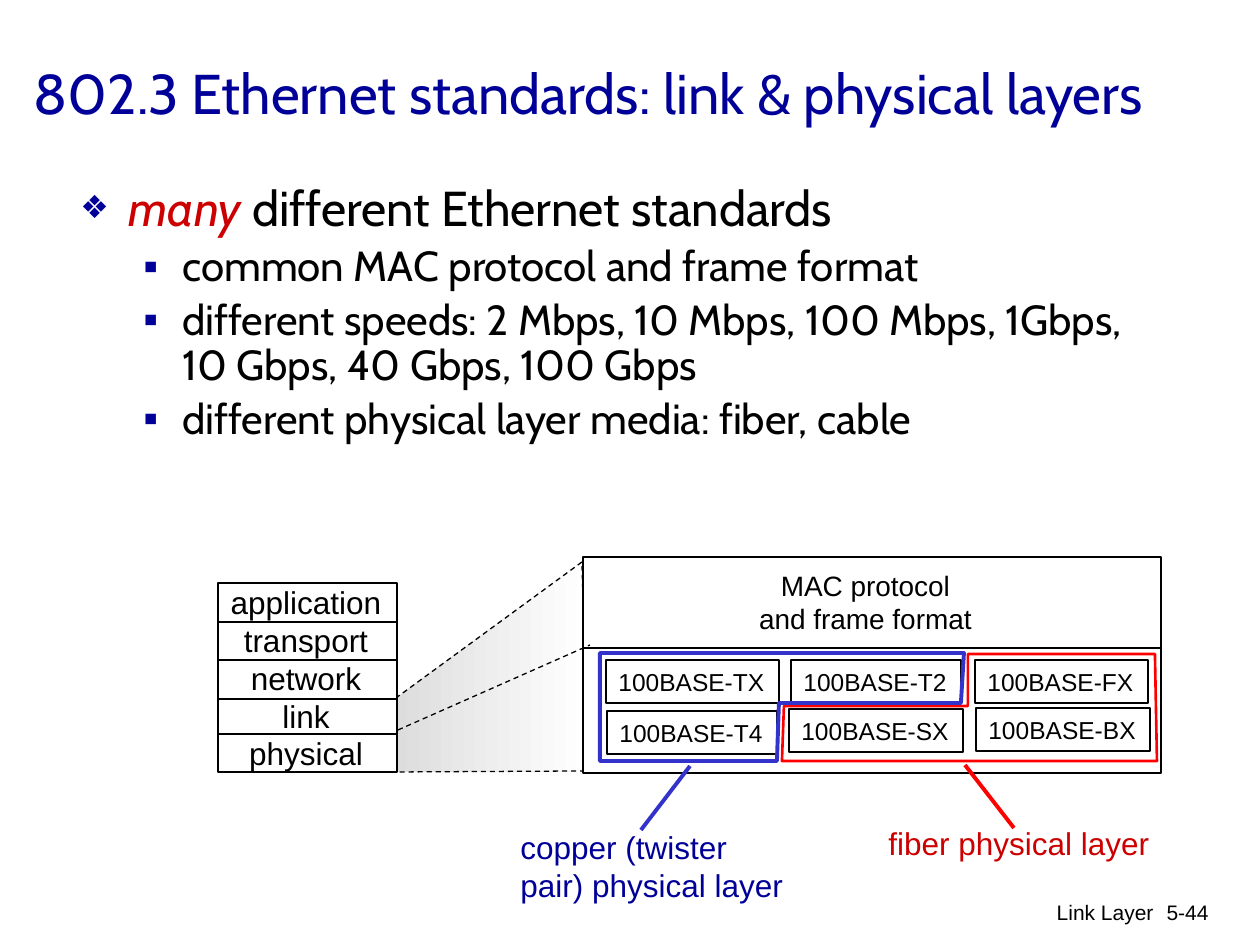
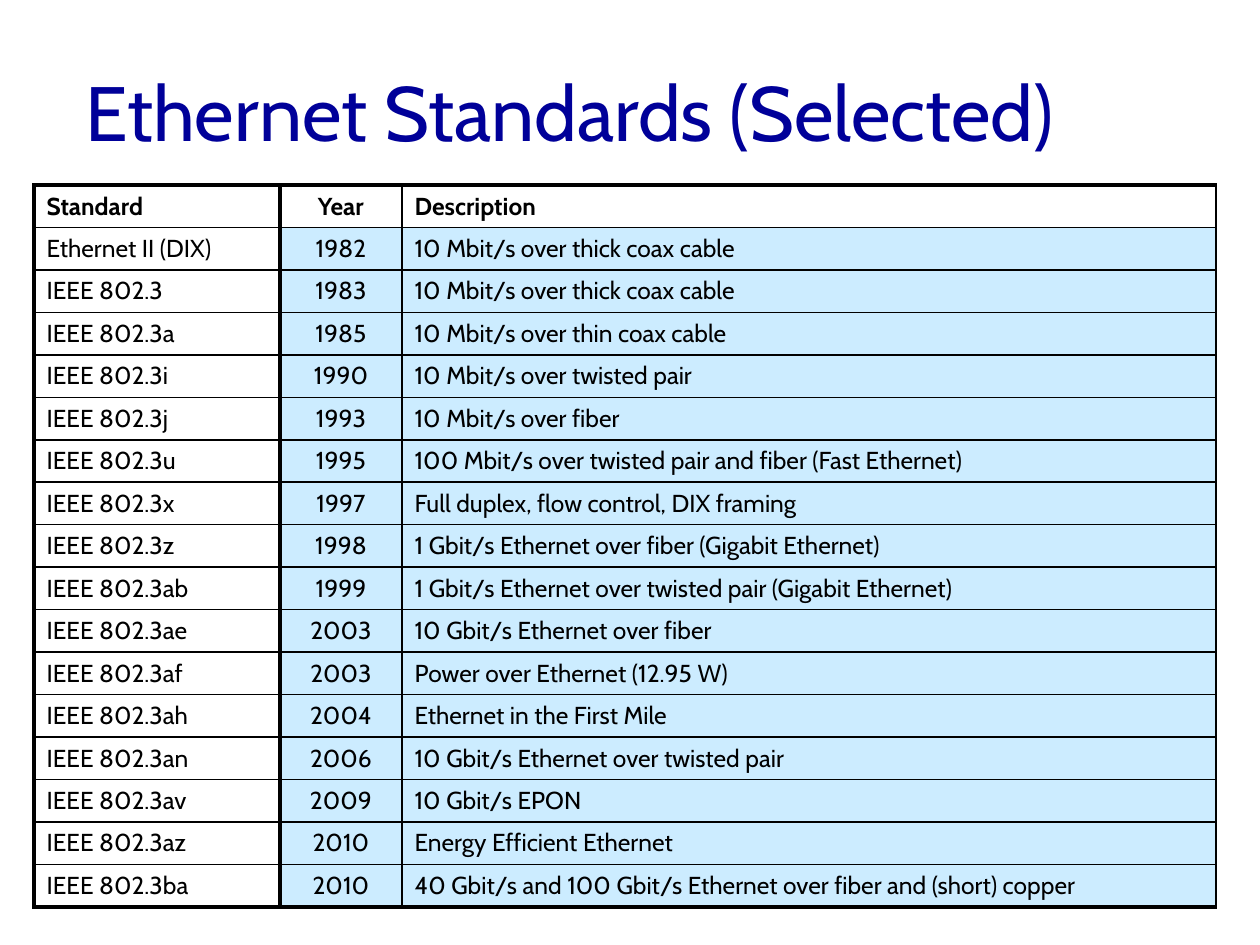
"""Build two slides on Ethernet standards: a layer diagram and a table."""
from typing import NamedTuple, Optional

from lxml import etree
from pptx import Presentation
from pptx import util as u
from pptx.dml.color import RGBColor
from pptx.enum import dml, shapes, text
from pptx.oxml import ns

PX = 914400 / 126
BLACK = RGBColor(0, 0, 0)
WHITE = RGBColor(255, 255, 255)
GREY = RGBColor(0xDD, 0xDD, 0xDD)
NAVY = RGBColor(0, 0, 0x99)
BLUE = RGBColor(0x33, 0x33, 0xCC)
CRIMSON = RGBColor(0xCC, 0, 0)
RED = RGBColor(255, 0, 0)
SKY = RGBColor(0xCC, 0xEC, 0xFF)
SANS, HEAD = "Arial", "Cabin"
LEFT, MID, RIGHT = text.PP_ALIGN.LEFT, text.PP_ALIGN.CENTER, text.PP_ALIGN.RIGHT
THIN, THICK = 1, 2.25


class Box(NamedTuple):
    x: int
    y: int
    w: int
    h: int


class Run(NamedTuple):
    text: str
    size: int
    color: RGBColor = BLACK
    font: str = SANS
    bold: bool = False
    slant: bool = False


class Pen(NamedTuple):
    color: RGBColor = BLACK
    width: float = 0.75
    dash: bool = False


class Line(NamedTuple):
    x1: int
    y1: int
    x2: int
    y2: int
    pen: Pen = Pen()


class Label(NamedTuple):
    box: Box
    lines: list[str]
    size: int
    color: RGBColor = BLACK
    align: text.PP_ALIGN = LEFT


class Item(NamedTuple):
    runs: list[Run]
    mark: str
    left: int
    hang: int
    ratio: Optional[int] = None


class Chip(NamedTuple):
    name: str
    box: Box


PLAIN, DASH = Pen(), Pen(dash=True)
FOOT = [Label(Box(767, 893, 399, 63), ["Link Layer"], 12, align=RIGHT),
        Label(Box(1128, 893, 93, 63), ["5-44"], 12, align=RIGHT)]

POINTS = [
    Item([Run("many ", 28, CRIMSON, HEAD, slant=True),
          Run("different Ethernet standards", 28, font=HEAD)], "❖", 48, 48, 65),
    *(Item([Run(line, 24, font=HEAD)], "▪", 102, 39) for line in (
        "common MAC protocol and frame format",
        "different speeds: 2 Mbps, 10 Mbps, 100 Mbps, 1Gbps, 10 Gbps, 40 Gbps, 100 Gbps",
        "different physical layer media: fiber, cable")),
]

STACK = Label(Box(218, 577, 176, 202),
              ["application", "transport", "network", "link", "physical"], 18, align=MID)
RULES = [*(Line(218, y, 396, y) for y in (622, 660, 699, 734)),
         Line(218, 745, 218, 769, DASH), Line(397, 742, 397, 766, DASH)]
MAC = Label(Box(746, 562, 239, 81), ["MAC protocol", "and frame format"], 16, align=MID)
CHIPS = [
    Chip("100BASE-TX", Box(606, 660, 173, 43)),
    Chip("100BASE-T4", Box(607, 711, 170, 43)),
    Chip("100BASE-FX", Box(975, 660, 173, 43)),
    Chip("100BASE-T2", Box(791, 660, 170, 43)),
    Chip("100BASE-SX", Box(789, 709, 174, 43)),
    Chip("100BASE-BX", Box(976, 708, 174, 43)),
]
FAN = [(582, 562), (396, 698), (397, 772), (588, 771)]
FIBER = [(968, 654), (968, 706), (784, 706), (782, 761), (1157, 761), (1155, 654)]
COPPER = [(964, 653), (961, 703), (779, 703), (777, 761), (600, 761), (600, 653)]
NOTES = [
    (FIBER, Pen(RED, 1.5), Line(965, 765, 1014, 828, Pen(RED, THICK)),
     Label(Box(876, 818, 289, 50), ["fiber physical layer"], 18, CRIMSON)),
    (COPPER, Pen(BLUE, THICK), Line(690, 766, 641, 830, Pen(BLUE, THICK)),
     Label(Box(508, 822, 291, 89), ["copper (twister", "pair) physical layer"], 18, NAVY)),
]

ROWS = [
    ("Standard", "Year", "Description"),
    ("Ethernet II (DIX)", "1982", "10 Mbit/s over thick coax cable"),
    ("IEEE 802.3", "1983", "10 Mbit/s over thick coax cable"),
    ("IEEE 802.3a", "1985", "10 Mbit/s over thin coax cable"),
    ("IEEE 802.3i", "1990", "10 Mbit/s over twisted pair"),
    ("IEEE 802.3j", "1993", "10 Mbit/s over fiber"),
    ("IEEE 802.3u", "1995", "100 Mbit/s over twisted pair and fiber (Fast Ethernet)"),
    ("IEEE 802.3x", "1997", "Full duplex, flow control, DIX framing"),
    ("IEEE 802.3z", "1998", "1 Gbit/s Ethernet over fiber (Gigabit Ethernet)"),
    ("IEEE 802.3ab", "1999", "1 Gbit/s Ethernet over twisted pair (Gigabit Ethernet)"),
    ("IEEE 802.3ae", "2003", "10 Gbit/s Ethernet over fiber"),
    ("IEEE 802.3af", "2003", "Power over Ethernet (12.95 W)"),
    ("IEEE 802.3ah", "2004", "Ethernet in the First Mile"),
    ("IEEE 802.3an", "2006", "10 Gbit/s Ethernet over twisted pair"),
    ("IEEE 802.3av", "2009", "10 Gbit/s EPON"),
    ("IEEE 802.3az", "2010", "Energy Efficient Ethernet"),
    ("IEEE 802.3ba", "2010", "40 Gbit/s and 100 Gbit/s Ethernet over fiber and (short) copper"),
]
COLS = (246, 122, 814)
ROW = 42


def emu(*sizes: int) -> list[int]:
    return [round(size * PX) for size in sizes]


def add(root, tag: str, **attrs):
    return etree.SubElement(root, ns.qn(tag), **attrs)


def put_run(para, run: Run) -> None:
    part = para.add_run()
    part.text = run.text
    font = part.font
    font.name, font.size, font.bold, font.italic = run.font, u.Pt(run.size), run.bold, run.slant
    font.color.rgb = run.color


def put_text(frame, lines: list[list[Run]], align=LEFT) -> None:
    for i, runs in enumerate(lines):
        para = frame.add_paragraph() if i else frame.paragraphs[0]
        para.alignment = align
        for run in runs:
            put_run(para, run)


def ink(line, pen: Pen) -> None:
    line.color.rgb = pen.color
    line.width = u.Pt(pen.width)
    if pen.dash:
        line.dash_style = dml.MSO_LINE.DASH


def put_title(slide, box: Box, run: Run) -> None:
    title = slide.shapes.title
    title.left, title.top, title.width, title.height = emu(*box)
    frame = title.text_frame
    frame.vertical_anchor = text.MSO_ANCHOR.MIDDLE
    frame.auto_size = text.MSO_AUTO_SIZE.NONE
    put_text(frame, [[run]])


def put_label(slide, label: Label) -> None:
    frame = slide.shapes.add_textbox(*emu(*label.box)).text_frame
    frame.word_wrap = False
    put_text(frame, [[Run(line, label.size, label.color)] for line in label.lines], label.align)


def put_rect(slide, box: Box, fill: Optional[RGBColor] = None):
    rect = slide.shapes.add_shape(shapes.MSO_SHAPE.RECTANGLE, *emu(*box))
    rect.shadow.inherit = False
    if fill is None:
        rect.fill.background()
    else:
        rect.fill.solid()
        rect.fill.fore_color.rgb = fill
    ink(rect.line, PLAIN)
    return rect


def put_chip(slide, chip: Chip) -> None:
    frame = put_rect(slide, chip.box).text_frame
    frame.word_wrap = False
    put_text(frame, [[Run(chip.name, 14)]])


def put_line(slide, line: Line) -> None:
    link = slide.shapes.add_connector(shapes.MSO_CONNECTOR.STRAIGHT, *emu(*line[:4]))
    ink(link.line, line.pen)
    add(link._element.spPr, "a:effectLst")


def put_form(slide, dots: list[tuple[int, int]], pen: Pen):
    maker = slide.shapes.build_freeform(*dots[0], scale=PX)
    maker.add_line_segments(dots[1:], close=True)
    form = maker.convert_to_shape()
    form.shadow.inherit = False
    form.fill.background()
    ink(form.line, pen)
    return form


def put_list(slide, box: Box, items: list[Item]) -> None:
    frame = slide.shapes.add_textbox(*emu(*box)).text_frame
    frame.word_wrap = True
    put_text(frame, [item.runs for item in items])
    for para, item in zip(frame.paragraphs, items):
        para.line_spacing = 0.9
        para.space_before = u.Pt(item.runs[0].size * 0.2)
        props = para._p.get_or_add_pPr()
        left, hang = emu(item.left, item.hang)
        props.set("marL", str(left))
        props.set("indent", str(-hang))
        add(add(props, "a:buClr"), "a:srgbClr", val=str(NAVY))
        if item.ratio:
            add(props, "a:buSzPct", val=str(item.ratio * 1000))
        add(props, "a:buFont", typeface=SANS)
        add(props, "a:buChar", char=item.mark)


def edge(cell, side: str, width: float) -> None:
    line = add(cell._tc.get_or_add_tcPr(), f"a:ln{side}", w=str(u.Pt(width)))
    add(add(line, "a:solidFill"), "a:srgbClr", val=str(BLACK))


def put_cell(cell, row: int, col: int) -> None:
    heavy = {"L": col < 2, "R": col == 0, "T": row == 0, "B": row == len(ROWS) - 1}
    for side, thick in heavy.items():
        edge(cell, side, THICK if thick else THIN)
    if row and col:
        cell.fill.solid()
        cell.fill.fore_color.rgb = SKY
    else:
        cell.fill.background()
    cell.vertical_anchor = text.MSO_ANCHOR.MIDDLE
    run = Run(ROWS[row][col], 14, font=HEAD, bold=row == 0)
    put_text(cell.text_frame, [[run]], MID if col == 1 else LEFT)
    cell.text_frame.paragraphs[0].space_before = u.Pt(10)


def draw_layers(slide) -> None:
    put_title(slide, Box(21, 13, 1201, 158),
              Run("802.3 Ethernet standards: link & physical layers", 32, NAVY, HEAD))
    for label in FOOT:
        put_label(slide, label)
    put_list(slide, Box(68, 178, 1071, 290), POINTS)
    fill = put_form(slide, FAN, DASH).fill
    fill.gradient()
    fill.gradient_angle = 0
    for stop, color in zip(fill.gradient_stops, (GREY, WHITE)):
        stop.color.rgb = color
    put_rect(slide, Box(218, 583, 179, 189), WHITE)
    put_label(slide, STACK)
    for rule in RULES:
        put_line(slide, rule)
    put_rect(slide, Box(583, 557, 578, 216), WHITE)
    put_line(slide, Line(584, 648, 1161, 648))
    put_label(slide, MAC)
    put_line(slide, Line(398, 730, 590, 645, DASH))
    for chip in CHIPS:
        put_chip(slide, chip)
    for dots, pen, line, label in NOTES:
        put_form(slide, dots, pen)
        put_line(slide, line)
        put_label(slide, label)


def draw_table(slide) -> None:
    put_title(slide, Box(73, 32, 1071, 158),
              Run("Ethernet Standards (Selected)", 44, NAVY, HEAD))
    box = Box(34, 185, sum(COLS), ROW * len(ROWS))
    table = slide.shapes.add_table(len(ROWS), len(COLS), *emu(*box)).table
    table.first_row = table.horz_banding = False
    for col, width in zip(table.columns, emu(*COLS)):
        col.width = width
    for r, row in enumerate(table.rows):
        row.height = emu(ROW)[0]
        for c, cell in enumerate(row.cells):
            put_cell(cell, r, c)


def main() -> None:
    deck = Presentation()
    deck.slide_width, deck.slide_height = emu(1260, 945)
    for draw in (draw_layers, draw_table):
        draw(deck.slides.add_slide(deck.slide_layouts[5]))
    deck.save("out.pptx")


if __name__ == "__main__":
    main()
